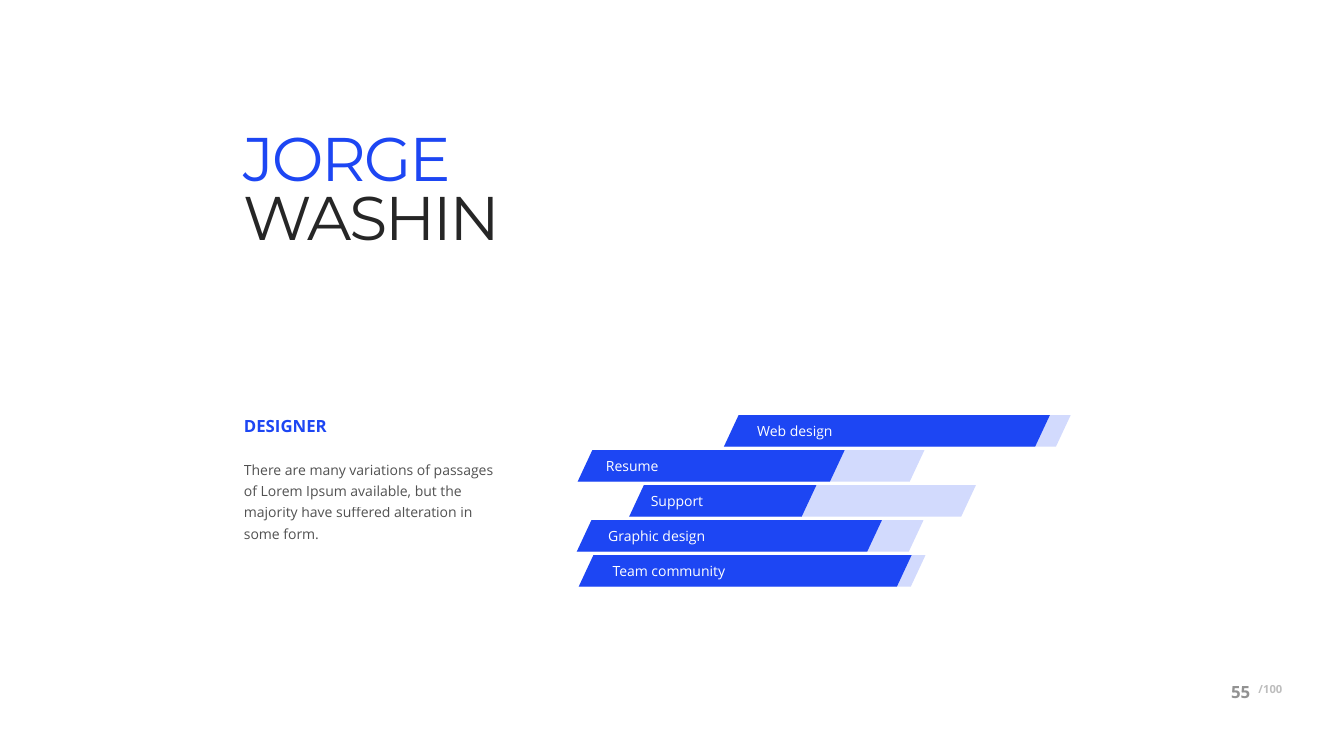
from pptx import Presentation
from pptx.dml.color import RGBColor
from pptx.enum.shapes import MSO_SHAPE
from pptx.enum.text import MSO_ANCHOR, MSO_AUTO_SIZE, PP_ALIGN
from pptx.oxml.ns import qn
from pptx.util import Inches, Pt
from lxml.etree import SubElement

BLUE, PALE, INK, WHITE = "1D46F3", "D2DAFD", "262626", "FFFFFF"
SKILLS = [
    ("Web design", 53.86, 0.94),
    ("Resume", 42.98, 0.77),
    ("Support", 46.81, 0.54),
    ("Graphic design", 42.91, 0.88),
    ("Team community", 43.06, 0.96),
]
BAR_TOP, BAR_PITCH, BAR_WIDTH, BAR_HEIGHT = 54.93, 4.63, 25.8, 4.17


def paint(target, color, opacity=100):
    """Give a fill a solid hex colour, optionally see-through."""
    target.solid()
    target.fore_color.rgb = RGBColor.from_string(color)
    if opacity < 100:
        tint = target._xPr.find(qn("a:solidFill"))[0]
        SubElement(tint, qn("a:alpha")).set("val", str(opacity * 1000))


class ProfilePage:
    """Holds the style and the current slide; lengths are percent of its size."""

    def __init__(self, deck):
        """Add a title-only page to the deck."""
        self.deck = deck
        self.page = deck.slides.add_slide(deck.slide_layouts[5])

    def area(self, left, top, width, height):
        """Turn percent shares into slide lengths."""
        across, down = self.deck.slide_width, self.deck.slide_height
        return [round(share * side / 100) for share, side in
                zip((left, top, width, height), (across, down, across, down))]

    def frame(self, shape, anchor, top=0.0, bottom=0.0, wrap=True):
        """Set the margins and anchor of a text frame and return its paragraph."""
        box = shape.text_frame
        box.margin_left = box.margin_right = 0
        box.margin_top, box.margin_bottom = Inches(top), Inches(bottom)
        box.vertical_anchor, box.word_wrap = anchor, wrap
        para = box.paragraphs[0]
        para.alignment = PP_ALIGN.LEFT
        return para

    def span(self, para, words, size, color, opacity=100, bold=False, font="Open Sans"):
        """Add one styled run to a paragraph."""
        span = para.add_run()
        span.text = words
        span.font.name, span.font.size, span.font.bold = font, Pt(size), bold
        paint(span.font.fill, color, opacity)
        return span

    def title(self, first, second, area):
        """Fill the title placeholder with two coloured lines."""
        heading = self.page.shapes.title
        heading.left, heading.top, heading.width, heading.height = self.area(*area)
        para = self.frame(heading, MSO_ANCHOR.TOP, top=0.21)
        heading.text_frame.auto_size = MSO_AUTO_SIZE.NONE
        para.line_spacing = 0.8
        for words, color in ((first, BLUE), (second, INK)):
            if para.runs:
                para.add_line_break()
            span = self.span(para, words, 44, color, font="Montserrat")
            span.font._element.set("spc", "-150")

    def text(self, words, area, size, color, anchor=MSO_ANCHOR.MIDDLE, margin=0.0,
             wrap=True, **style):
        """Add a text box with one run and return its paragraph."""
        box = self.page.shapes.add_textbox(*self.area(*area))
        para = self.frame(box, anchor, margin, margin, wrap)
        self.span(para, words, size, color, **style)
        return para

    def bar(self, label, left, top, level):
        """Add a grouped skill bar: a pale track below a labelled level."""
        group = self.page.shapes.add_group_shape()
        for width, color in ((BAR_WIDTH, PALE), (BAR_WIDTH * level, BLUE)):
            strip = group.shapes.add_shape(
                MSO_SHAPE.PARALLELOGRAM, *self.area(left, top, width, BAR_HEIGHT))
            strip.adjustments[0] = 0.466
            strip.shadow.inherit = False
            strip.line.fill.background()
            paint(strip.fill, color)
        para = self.frame(strip, MSO_ANCHOR.MIDDLE, 0.05, 0.05)
        self.span(para, label, 10, WHITE)


def main():
    """Build the profile slide and save it."""
    deck = Presentation()
    deck.slide_width, deck.slide_height = Inches(13.33), Inches(7.5)
    profile = ProfilePage(deck)

    total = profile.text("/100", (91.22, 89.47, 4.2, 3.33), 8, INK, opacity=30, bold=True)
    total.alignment = PP_ALIGN.RIGHT
    profile.text("55", (91.6, 89.87, 4.2, 3.33), 12, INK, opacity=50, bold=True)

    profile.title("JORGE", "WASHIN", (18.08, 14.93, 37.5, 21.73))
    profile.text("DESIGNER", (18.15, 54.4, 6.23, 4), 12, BLUE,
                 MSO_ANCHOR.TOP, 0.05, wrap=False, bold=True)
    about = profile.text(
        "There are many variations of passages of Lorem Ipsum available, but the "
        "majority have suffered alteration in some form.",
        (18.15, 59.73, 18.68, 17.33), 10, INK, MSO_ANCHOR.TOP, 0.05, opacity=80)
    about.line_spacing = 1.27

    for row, (label, left, level) in enumerate(SKILLS):
        profile.bar(label, left, BAR_TOP + row * BAR_PITCH, level)

    deck.save("out.pptx")


if __name__ == "__main__":
    main()
